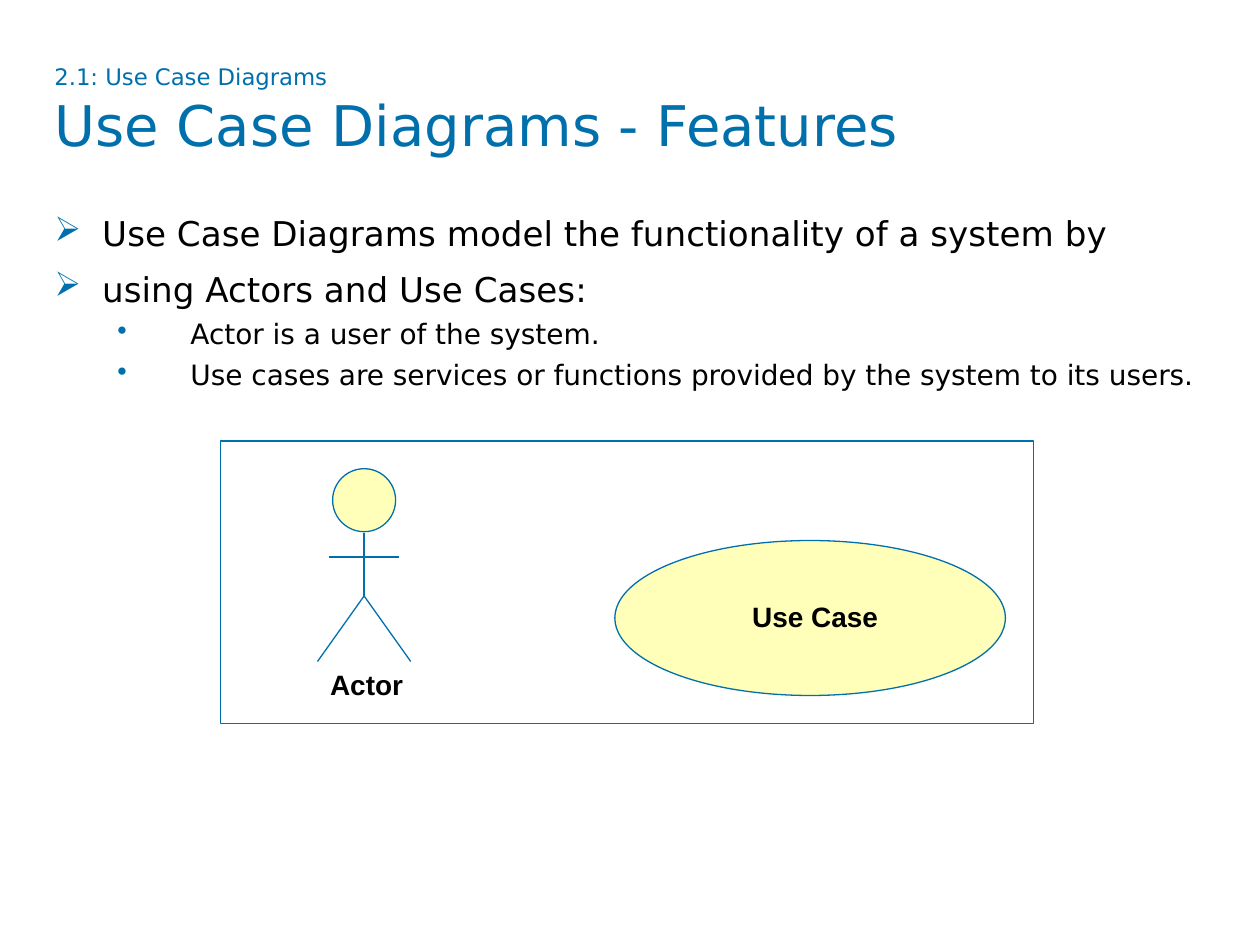
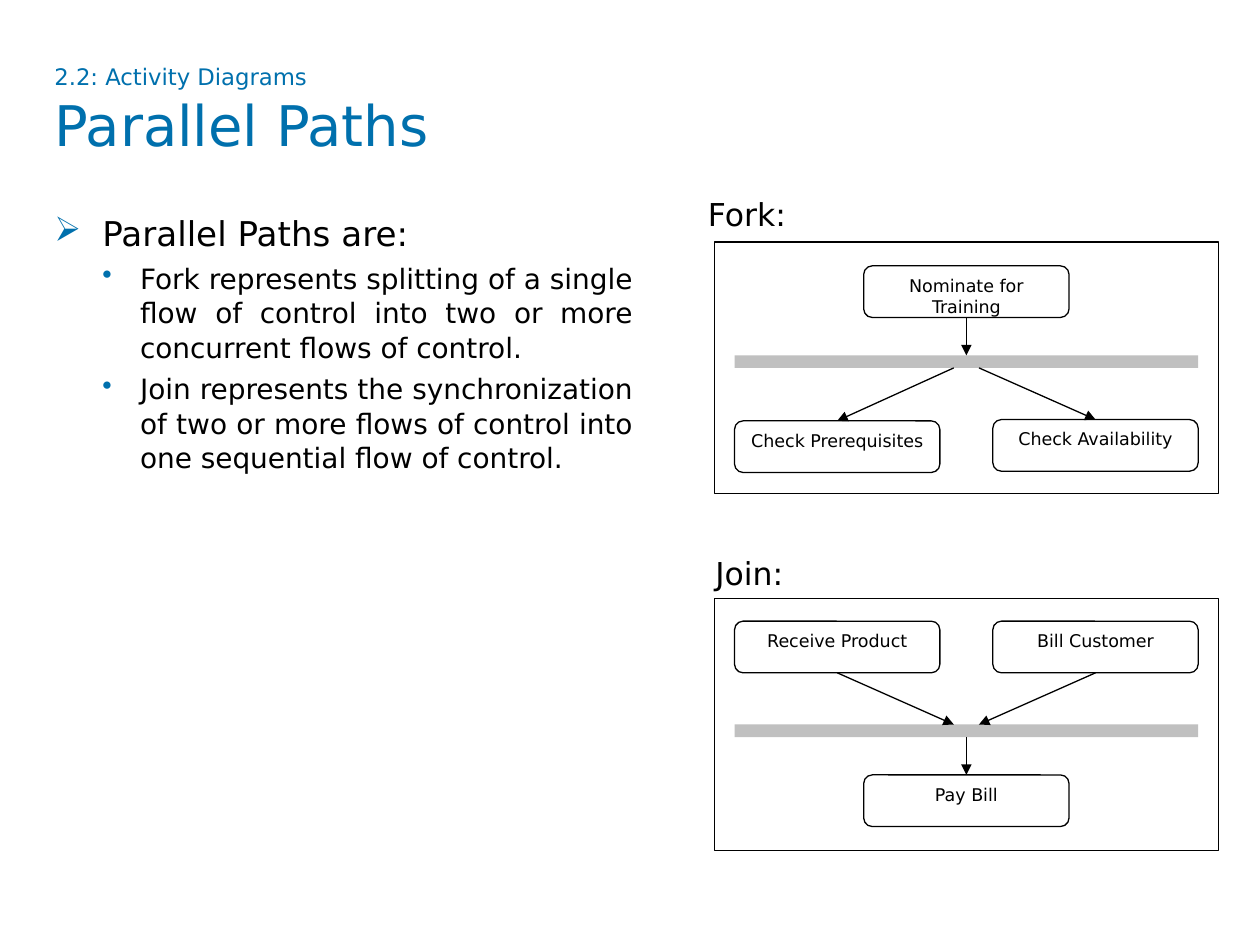
from pptx import Presentation
from pptx.dml.color import RGBColor
from pptx.enum.shapes import MSO_CONNECTOR, MSO_SHAPE
from pptx.enum.text import MSO_ANCHOR, PP_ALIGN
from pptx.oxml.ns import qn
from pptx.util import Inches, Pt
from lxml.etree import SubElement

BLUE, BLACK, WHITE, CREAM, GREY = "0070AD", "000000", "FFFFFF", "FFFFB9", "C0C0C0"
SANS, ARIAL = "DejaVu Sans", "Arial"
W, H = 10, 7.5
MARGIN = W / 30
TOP, BOTTOM = 0, 2

SLIDES = [
    dict(section="2.1: Use Case Diagrams", title="Use Case Diagrams - Features",
         width=9.34, sub_indent=(1.08, 0.58),
         body=[(0, "Use Case Diagrams model the functionality of a system by"),
               (0, "using Actors and Use Cases:"),
               (1, "Actor is a user of the system."),
               (1, "Use cases are services or functions provided by the system to its users.")]),
    dict(section="2.2: Activity Diagrams", title="Parallel Paths",
         width=4.79, sub_indent=(0.68, 0.3),
         body=[(0, "Parallel Paths are:"),
               (1, "Fork represents splitting of a single flow of control into two or more "
                   "concurrent flows of control."),
               (1, "Join represents the synchronization of two or more flows of control into "
                   "one sequential flow of control.")]),
]
LEVELS = [dict(size=19.5, before=7.5, bullet="➢"),
          dict(size=16, before=3.8, bullet="•")]
PANELS = [
    dict(label="Fork:", label_at=(5.52, 1.5), top=1.92, forks=True, bar=0.9,
         single=("Nominate for Training", 0.19),
         pair=[("Check Prerequisites", 1.42), ("Check Availability", 1.41)]),
    dict(label="Join:", label_at=(5.58, 4.35), top=4.75, forks=False, bar=1.0,
         single=("Pay Bill", 1.4),
         pair=[("Receive Product", 0.18), ("Bill Customer", 0.18)]),
]
PANEL_X, PANEL_W, PANEL_H, PAD = 5.67, 4, 2, 0.16
NODE_W, NODE_H, BAR_H, SPREAD = 1.63, 0.41, 0.1, 0.1


def rgb(color):
    return RGBColor.from_string(color)


def add_text(tf, text, size=16, font=SANS, color=BLACK, bold=False, align=None,
             before=0, spacing=None, new=False):
    p = tf.add_paragraph() if new else tf.paragraphs[0]
    p.alignment = align
    p.space_before = Pt(before)
    p.line_spacing = spacing
    r = p.add_run()
    r.text = text
    f = r.font
    f.size, f.name, f.bold, f.color.rgb = Pt(size), font, bold, rgb(color)
    return p


def text_box(slide, x, y, w, h, inset=None, wrap=True):
    tf = slide.shapes.add_textbox(*map(Inches, (x, y, w, h))).text_frame
    tf.word_wrap = wrap
    if inset is not None:
        tf.margin_left = tf.margin_right = tf.margin_top = tf.margin_bottom = Inches(inset)
    return tf


def add_bullet(p, char, left, hang):
    pPr = p._p.get_or_add_pPr()
    pPr.set("marL", str(Inches(left)))
    pPr.set("indent", str(-Inches(hang)))
    SubElement(SubElement(pPr, qn("a:buClr")), qn("a:srgbClr")).set("val", BLUE)
    SubElement(pPr, qn("a:buChar")).set("char", char)


def add_shape(slide, kind, x, y, w, h, fill=None, line=None):
    sp = slide.shapes.add_shape(kind, *map(Inches, (x, y, w, h)))
    sp.shadow.inherit = False
    if fill:
        sp.fill.solid()
        sp.fill.fore_color.rgb = rgb(fill)
    else:
        sp.fill.background()
    if line:
        sp.line.color.rgb = rgb(line)
        sp.line.width = Pt(0.75)
    else:
        sp.line.fill.background()
    return sp


def add_line(slide, start, end, color=BLACK, arrow=False, begin=None, finish=None):
    cn = slide.shapes.add_connector(MSO_CONNECTOR.STRAIGHT, *map(Inches, (*start, *end)))
    cn.line.color.rgb = rgb(color)
    cn.line.width = Pt(0.75)
    if arrow:
        SubElement(cn.line._get_or_add_ln(), qn("a:tailEnd")).set("type", "triangle")
    SubElement(cn._element.spPr, qn("a:effectLst"))
    if begin:
        cn.begin_connect(*begin)
    if finish:
        cn.end_connect(*finish)


def add_slide(prs, section, title, width, sub_indent, body):
    slide = prs.slides.add_slide(prs.slide_layouts[6])
    tf = text_box(slide, MARGIN, 0.45, W - 2 * MARGIN, 0.94)
    add_text(tf, section, size=13, color=BLUE).add_line_break()
    add_text(tf, title, size=32, color=BLUE)
    tf = text_box(slide, MARGIN, 1.63, width, 5.08)
    for i, (level, text) in enumerate(body):
        style = LEVELS[level]
        p = add_text(tf, text, size=style["size"], before=style["before"], spacing=1.03,
                     align=PP_ALIGN.JUSTIFY, new=i > 0)
        p.level = level
        add_bullet(p, style["bullet"], *(sub_indent if level else (0.38, 0.38)))
    return slide


def draw_use_case(slide):
    add_shape(slide, MSO_SHAPE.RECTANGLE, 1.75, 3.5, 6.45, 2.24, line=BLUE)
    x, head, neck, arms, hip, feet = 2.89, 0.5, 4.23, 4.42, 4.73, 5.25
    add_shape(slide, MSO_SHAPE.OVAL, x - head / 2, 3.72, head, head, CREAM, BLUE)
    limbs = [((x, neck), (x, hip)), ((x - 0.28, arms), (x + 0.28, arms)),
             ((x, hip), (x - 0.37, feet)), ((x, hip), (x + 0.37, feet))]
    for start, end in limbs:
        add_line(slide, start, end, BLUE)
    add_shape(slide, MSO_SHAPE.OVAL, 4.88, 4.29, 3.1, 1.23, CREAM, BLUE)
    for text, left, top, width in [("Actor", 2.62, 5.3, 0.59), ("Use Case", 5.97, 4.76, 1.01)]:
        tf = text_box(slide, left, top, width, 0.27, inset=0, wrap=False)
        add_text(tf, text, font=ARIAL, bold=True)


def add_node(slide, text, x, y):
    sp = add_shape(slide, MSO_SHAPE.ROUNDED_RECTANGLE, x, y, NODE_W, NODE_H, WHITE, BLACK)
    tf = sp.text_frame
    tf.word_wrap = True
    tf.vertical_anchor = MSO_ANCHOR.TOP
    add_text(tf, text, size=10, align=PP_ALIGN.CENTER)
    return sp


def draw_panel(slide, label, label_at, top, forks, bar, single, pair):
    add_text(text_box(slide, *label_at, 2.5, 0.4), label, size=18)
    add_shape(slide, MSO_SHAPE.RECTANGLE, PANEL_X, top, PANEL_W, PANEL_H, line=BLACK)
    left, bar_w = PANEL_X + PAD, PANEL_W - 2 * PAD
    step = (bar_w - NODE_W) / 2
    mid = PANEL_X + PANEL_W / 2
    bar_y = top + bar
    bar_sp = add_shape(slide, MSO_SHAPE.RECTANGLE, left, bar_y, bar_w, BAR_H, GREY)

    node = add_node(slide, single[0], left + step, top + single[1])
    ends = [(node, BOTTOM), (bar_sp, TOP)] if forks else [(bar_sp, BOTTOM), (node, TOP)]
    add_line(slide, (mid, top), (mid, bar_y), arrow=True, begin=ends[0], finish=ends[1])

    for col, (text, dy) in enumerate(pair):
        x, y = left + 2 * step * col, top + dy
        node = add_node(slide, text, x, y)
        at_bar = mid + SPREAD * (2 * col - 1)
        center = x + NODE_W / 2
        if forks:
            add_line(slide, (at_bar, bar_y + BAR_H), (center, y), arrow=True, finish=(node, TOP))
        else:
            add_line(slide, (center, y + NODE_H), (at_bar, bar_y), arrow=True,
                     begin=(node, BOTTOM))


def main():
    prs = Presentation()
    prs.slide_width, prs.slide_height = Inches(W), Inches(H)
    use_case, paths = [add_slide(prs, **content) for content in SLIDES]
    draw_use_case(use_case)
    for panel in PANELS:
        draw_panel(paths, **panel)
    prs.save("out.pptx")


if __name__ == "__main__":
    main()
